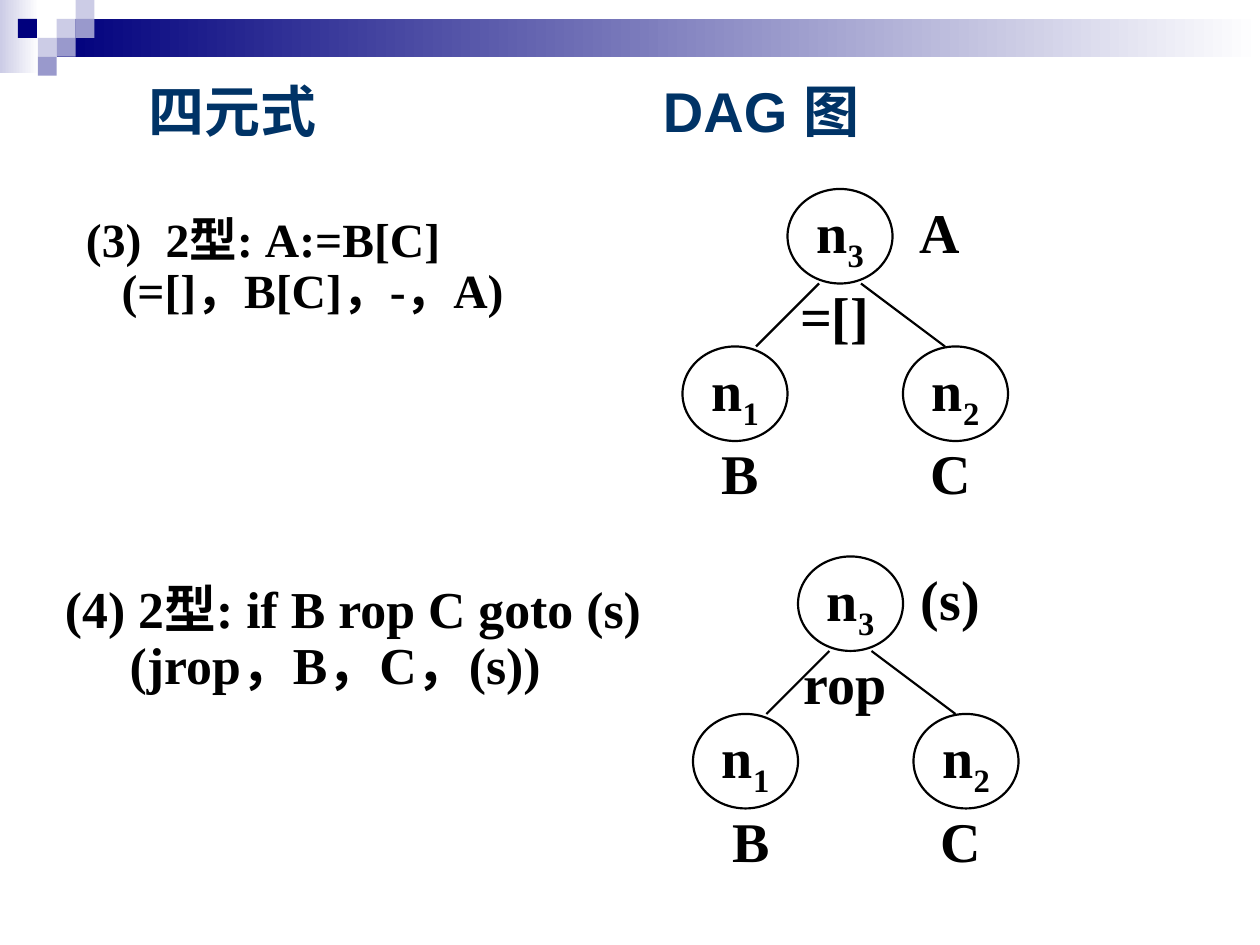
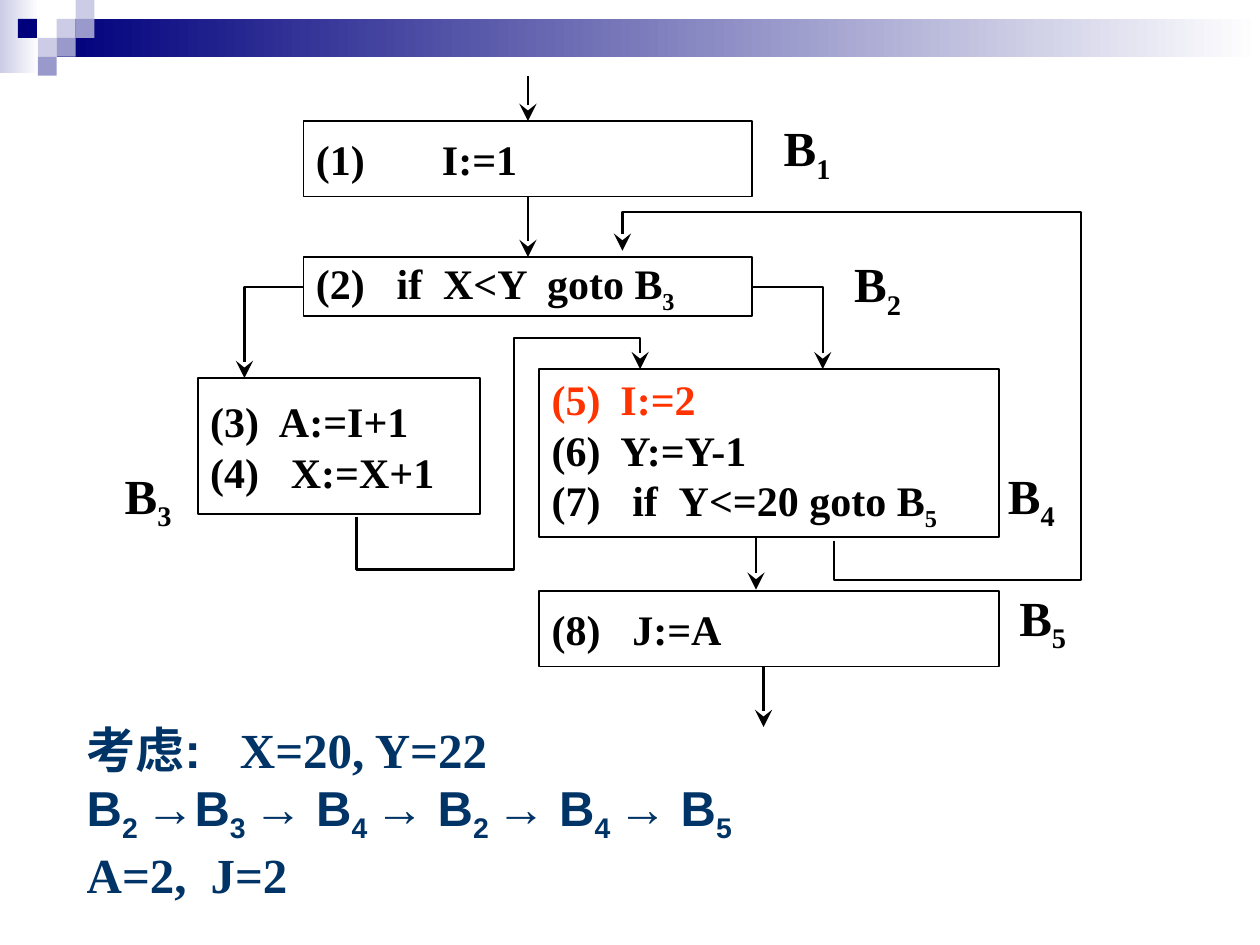
from dataclasses import dataclass

from lxml import etree
from pptx import Presentation
from pptx.dml.color import RGBColor
from pptx.enum.shapes import MSO_CONNECTOR, MSO_SHAPE
from pptx.enum.text import MSO_ANCHOR, PP_ALIGN
from pptx.oxml.ns import qn
from pptx.util import Inches, Pt

RECTANGLE, OVAL = MSO_SHAPE.RECTANGLE, MSO_SHAPE.OVAL
STRAIGHT = MSO_CONNECTOR.STRAIGHT
TOP, MIDDLE = MSO_ANCHOR.TOP, MSO_ANCHOR.MIDDLE
LEFT, CENTER = PP_ALIGN.LEFT, PP_ALIGN.CENTER


@dataclass(frozen=True)
class Theme:
    sans: str = "Arial"
    serif: str = "Times New Roman"
    ink: str = "000000"
    title: str = "003366"
    accent: str = "FF3300"
    navy: str = "00007D"
    lilac: str = "9999CC"
    mist: str = "CCCCE6"
    white: str = "FFFFFF"
    title_size: float = 32
    node_size: float = 32
    note_size: float = 28
    code_size: float = 24
    outline: float = 1
    stroke: float = 1.25


theme = Theme()
deck = Presentation()
deck.slide_width, deck.slide_height = Inches(10), Inches(7.5)
# Every length below counts cells of a grid of 120 columns and 90 rows
CELL = deck.slide_width / 120


def add_block(page, at, lines, size, color=theme.ink, shape=None, stroke=theme.stroke,
              align=LEFT, anchor=TOP, spacing=None):
    """Each line is (text, tab stops, options); "|" switches subscript on and off."""
    place = [round(n * CELL) for n in at]
    if shape is None:
        box = page.shapes.add_textbox(*place)
    else:
        box = page.shapes.add_shape(shape, *place)
        box.shadow.inherit = False
        box.fill.background()
        box.line.color.rgb = RGBColor.from_string(theme.ink)
        box.line.width = Pt(stroke)
    frame = box.text_frame
    frame.word_wrap = True
    frame.vertical_anchor = anchor
    if align == CENTER:
        # Short centred labels use the full width of their box
        frame.margin_left = frame.margin_right = 0
    for number, (text, stops, options) in enumerate(lines):
        para = frame.paragraphs[0] if number == 0 else frame.add_paragraph()
        para.alignment = align
        properties = para._p.get_or_add_pPr()
        properties.set("marL", str(round(options.get("indent", 0) * CELL)))
        if stops:
            tabs = etree.SubElement(properties, qn("a:tabLst"))
            for stop in stops:
                etree.SubElement(tabs, qn("a:tab"), pos=str(round(stop * CELL)), algn="l")
        if spacing:
            para.line_spacing = spacing
        if "before" in options:
            para.space_before = Pt(options["before"])
        pieces = text if isinstance(text, list) else [(options.get("font", theme.serif), text)]
        for font, marked in pieces:
            for index, part in enumerate(marked.split("|")):
                if not part:
                    continue
                span = para.add_run()
                span.text = part
                span.font.name, span.font.size, span.font.bold = font, Pt(size), True
                span.font.color.rgb = RGBColor.from_string(options.get("color", color))
                if index % 2:
                    span.font._element.set("baseline", "-25000")


def add_route(page, points, arrow=True):
    """Join the points with a straight connector or, past two points, an open outline."""
    corners = [(round(x * CELL), round(y * CELL)) for x, y in points]
    if len(corners) == 2:
        route = page.shapes.add_connector(STRAIGHT, *corners[0], *corners[1])
    else:
        builder = page.shapes.build_freeform(*corners[0], scale=1.0)
        builder.add_line_segments(corners[1:], close=False)
        route = builder.convert_to_shape()
        route.fill.background()
    route.line.color.rgb = RGBColor.from_string(theme.ink)
    route.line.width = Pt(theme.stroke)
    properties = route.element.spPr
    if arrow:
        etree.SubElement(properties.find(qn("a:ln")), qn("a:tailEnd"),
                         type="stealth", w="lg", len="lg")
    etree.SubElement(properties, qn("a:effectLst"))


# Shared header: two fading bands and a mosaic of squares
dag_page, flow_page = [deck.slides.add_slide(deck.slide_layouts[6]) for _ in range(2)]
TILE = 1.8
bands = [((0, 0, 3.72, 6.96), theme.mist), ((5.4, TILE, 114.6, 3.6), theme.navy)]
tiles = [(3, 1, theme.mist), (4, 0, theme.mist), (4, 1, theme.lilac), (2, 2, theme.mist),
         (0.95, 1, theme.navy), (3, 2, theme.lilac), (2, 3, theme.lilac)]
header = [(at, (color, theme.white)) for at, color in bands]
header += [((column * TILE, row * TILE, TILE, TILE), (color,)) for column, row, color in tiles]
for page in (dag_page, flow_page):
    for at, colors in header:
        piece = page.shapes.add_shape(RECTANGLE, *[round(n * CELL) for n in at])
        piece.shadow.inherit = False
        piece.line.fill.background()
        if len(colors) == 1:
            piece.fill.solid()
            piece.fill.fore_color.rgb = RGBColor.from_string(colors[0])
            continue
        piece.fill.gradient()
        piece.fill.gradient_angle = 0
        for position, (stop, color) in enumerate(zip(piece.fill.gradient_stops, colors)):
            stop.position = position
            stop.color.rgb = RGBColor.from_string(color)

# Slide 1: column titles
add_block(dag_page, (13, 6.72, 100, 9), [("四元式\tDAG 图", [48.95], {"font": theme.sans})],
          theme.title_size, theme.title)

# Slide 1: quadruples, each with its tree
quadruples = [
    ((7, 20, 50.64, 17), 27.2, (65, 18), "A", "=[]",
     [("(3)\t2型: A:=B[C]", [7.6], {}), ("(=[]，B[C]，-，A)", [], {"indent": 3.4})]),
    ((5, 55, 63, 17), 29.6, (66, 53), "(s)", "rop",
     [("(4) 2型: if B rop C goto (s)", [], {}), ("(jrop，B，C，(s))", [], {"indent": 6.17})]),
]
for at, size, (left, top), result, operator, lines in quadruples:
    add_block(dag_page, at, lines, size, spacing=0.9)
    nodes = [("n|2", 21, 15), ("n|1", 0, 15), ("n|3", 10, 0)]
    labels = [(result, 20, 0), ("B", 1, 23), (operator, 10, 8), ("C", 21, 23)]
    for group, width, height, shape in ((nodes, 10, 9, OVAL), (labels, 9, 8, None)):
        for text, column, row in group:
            add_block(dag_page, (left + column, top + row, width, height), [(text, [], {})],
                      theme.node_size, shape=shape, align=CENTER, anchor=MIDDLE)
    for start, end in (((13, 9), (7, 15)), ((17, 9), (25, 15))):
        add_route(dag_page, [(left + x, top + y) for x, y in (start, end)], arrow=False)

# Slide 2: worked example
add_block(flow_page, (7.08, 68.52, 102, 18.96), [
    ([(theme.sans, "考虑:\t"), (theme.serif, "X=20, Y=22")], [14.6], {}),
    ("B|2 |→B|3 |→ B|4 |→ B|2 |→ B|4 |→ B|5", [], {"font": theme.sans}),
    ("A=2,\tJ=2", [11.8], {"before": 7}),
], theme.note_size, theme.title, spacing=0.9)

# Slide 2: basic blocks with their names
NEAR, WIDE = 6.55, 7.68
blocks = [
    ((28.92, 11.52, 42.72, 7.2), (73.8, 10.08), [("(1)\tI:=1", [12], {})]),
    ((28.92, 24.48, 42.72, 5.64), (80.52, 23.04),
     [("(2)\tif\tX<Y\tgoto B|3", [WIDE, 12.1, 22], {})]),
    ((18.84, 36, 26.88, 12.96), (11.04, 43.2),
     [("(3)\tA:=I+1", [NEAR], {}), ("(4)\tX:=X+1", [WIDE], {})]),
    ((51.36, 35.16, 43.8, 15.96), (95.16, 43.2),
     [("(5)\tI:=2", [NEAR], {"color": theme.accent}), ("(6)\tY:=Y-1", [NEAR], {}),
      ("(7)\tif\tY<=20 goto B|5", [WIDE, 12.1], {})]),
    ((51.36, 56.28, 43.8, 7.2), (96.24, 54.84), [("(8)\tJ:=A", [WIDE], {})]),
]
for number, (at, label_corner, lines) in enumerate(blocks, start=1):
    add_block(flow_page, at, lines, theme.code_size, shape=RECTANGLE,
              stroke=theme.outline, anchor=MIDDLE)
    add_block(flow_page, (*label_corner, 6.12, 8.64), [(f"B|{number}", [], {})],
              theme.note_size, align=CENTER, anchor=MIDDLE)

# Slide 2: control flow
routes = [
    [(50.28, 7.2), (50.28, 11.52)],
    [(50.28, 18.72), (50.28, 24.48)],
    [(72, 51.24), (72, 56.16)],
    [(72.72, 63.48), (72.72, 69.24)],
    [(28.92, 27.36), (23.28, 27.36), (23.28, 36)],
    [(71.64, 27.36), (78.36, 27.36), (78.36, 35.16)],
    [(79.44, 51.48), (79.44, 55.2), (102.96, 55.2), (102.96, 20.16), (59.28, 20.16),
     (59.28, 23.88)],
    [(33.96, 49.2), (33.96, 54.24), (48.96, 54.24), (48.96, 32.16), (60.96, 32.16),
     (60.96, 35.16)],
]
for points in routes:
    add_route(flow_page, points)

deck.save("out.pptx")
